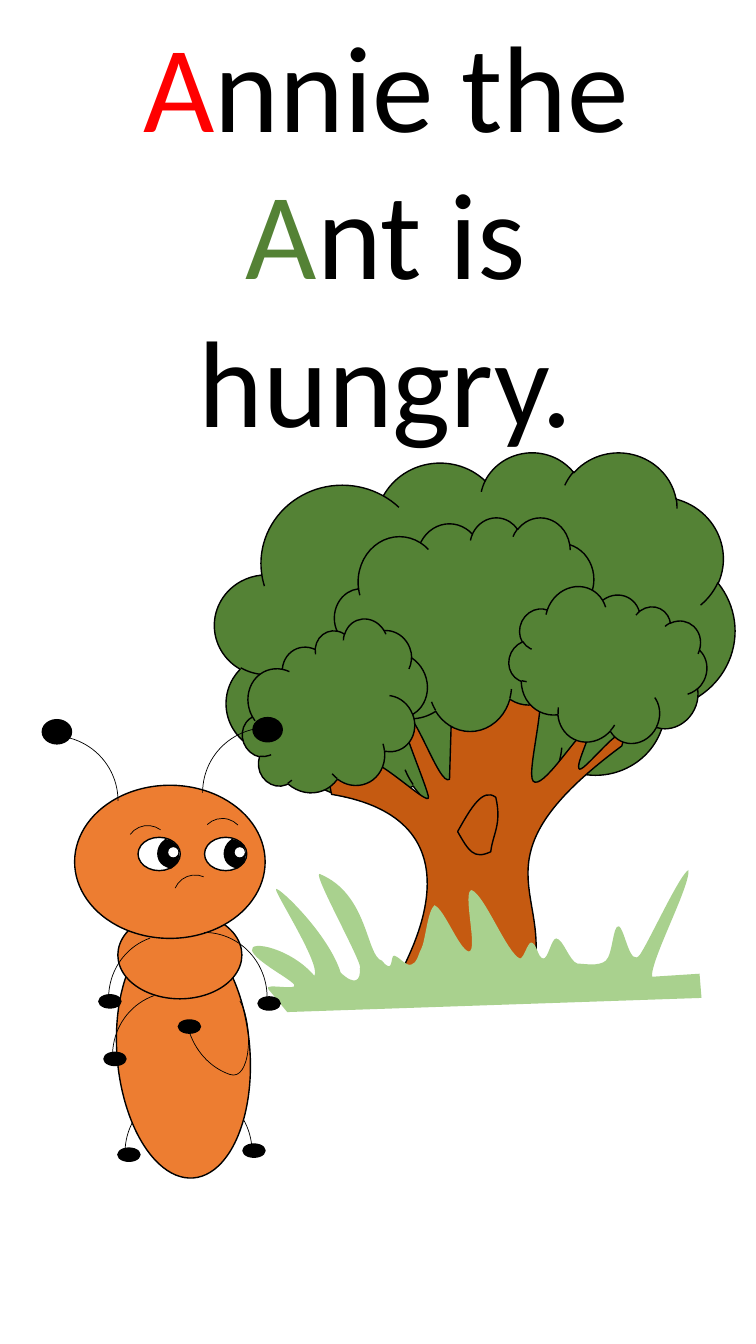
from pptx import Presentation
from pptx import util as u
from pptx.dml.color import RGBColor
from pptx.enum import shapes, text
from pptx.oxml.ns import qn

COLORS = {
    "black": "000000", "white": "FFFFFF", "red": "FF0000", "leaf": "548235",
    "bark": "C55A11", "grass": "A9D18E", "ant": "ED7D31",
}
KIND = shapes.MSO_SHAPE

# Outlines: a start point, then pairs for lines and sextuples for curves
TRUNK = [
    (323.3, 484.6), (381.6, 484.6),
    (394.6, 488.2, 375.1, 551.5, 380.9, 558), (387.4, 564.5, 410.4, 527, 418.3, 522),
    (427, 517, 409.7, 547.2, 414, 549.4), (418.3, 550.8, 452.2, 505.4, 444.2, 532.8),
    (339.1, 610.6, 391.7, 635, 381.6, 691.2), (288.7, 691.2),
    (283.7, 694.1, 354.2, 586.8, 236.9, 567.4), (231.1, 542.9, 244.8, 545.8, 253.4, 545.8),
    (256.3, 525.6, 308.9, 580.3, 306, 568.8), (303.1, 556.6, 282.2, 509, 288, 509.8),
    (295.9, 504.7, 313.9, 562.3, 321.1, 556.6),
]
GRASS = [
    (191.5, 706.3),
    (188.6, 702, 213.1, 707.8, 210.2, 703.4), (207.4, 699.1, 182.9, 686.9, 180, 679),
    (177.8, 671, 208.1, 677.5, 224.6, 697), (229.7, 689, 194.4, 635, 197.3, 635),
    (200.2, 634.3, 234.7, 667.4, 243.4, 694.8), (253.4, 704.2, 257.8, 700.6, 257, 691.9),
    (261.4, 691.9, 223.2, 624.2, 228.2, 624.2), (263.5, 638.6, 261.4, 683.3, 272.9, 686.2),
    (281.5, 697, 278.6, 682.6, 281.5, 682.6), (285.1, 683.3, 290.2, 690.5, 293.8, 689),
    (298.1, 687.6, 298.1, 683.3, 301, 677.5), (303.8, 672.5, 305.3, 650.9, 310.3, 646.6),
    (317.5, 649.4, 327.6, 677.5, 334.8, 679.7), (342, 679.7, 329.8, 635.8, 337, 635.8),
    (346.3, 639.4, 362.2, 681.1, 371.5, 684.7), (374.4, 684, 376.6, 673.9, 379.4, 673.2),
    (383.8, 673.9, 383.8, 684, 388.1, 684.7), (391.7, 684.7, 393.8, 670.3, 397.4, 670.3),
    (402.5, 671, 406.8, 686.9, 412.6, 688.3), (417.6, 688.3, 427.7, 690.5, 432.7, 686.2),
    (437.8, 681.8, 437.8, 660.2, 442.1, 661.7), (446.4, 663.8, 450, 691.9, 457.2, 681.8),
    (464.4, 671, 485.3, 625, 491.8, 621.4), (493.2, 632.9, 464.4, 686.2, 465.8, 697.7),
    (499.7, 695.5), (501.1, 712.8), (205.2, 722.9),
]
KNOT = [
    (326.9, 594), (336.2, 577.4, 344.9, 562.3, 354.2, 569.5),
    (358.6, 589, 352.1, 595.4, 350.6, 608.4), (338.4, 614.2, 334.8, 607.7, 326.9, 594),
]
PUPIL = [
    (118.1, 599.8), (121, 600.5),
    (123.8, 601.9, 126.7, 604.1, 127.4, 607.7), (128.2, 610.6, 127.4, 614.2, 125.3, 617),
    (122.4, 619.9), (119.5, 619.2),
    (115.9, 617.8, 113.8, 615.6, 113, 612), (112.3, 609.1, 113, 605.5, 115.2, 602.6),
]
BENT_ARM = [
    (171.4, 715), (181.4, 732.2, 179.3, 772.6, 164.2, 767.5),
    (149.8, 762.5, 139, 750.2, 134.6, 735.1),
]


def color(name):
    return RGBColor.from_string(COLORS[name])


def add_run(paragraph, words, size=88, tint="black", face="Calibri"):
    run = paragraph.add_run()
    run.text = words
    run.font.size = u.Pt(size)
    run.font.name = face
    run.font.color.rgb = color(tint)


class Page:
    """Holds the slide, the group being drawn and the outline style."""

    def __init__(self, deck):
        self.slide = deck.slides.add_slide(deck.slide_layouts[6])
        self.shapes = self.slide.shapes
        self.outline = 1

    def start_group(self):
        self.shapes = self.slide.shapes.add_group_shape().shapes

    def style(self, shape, fill, line):
        shape.shadow.inherit = False
        if fill:
            shape.fill.solid()
            shape.fill.fore_color.rgb = color(fill)
        else:
            shape.fill.background()
        if line:
            shape.line.color.rgb = color("black")
            shape.line.width = u.Pt(line)
        else:
            shape.line.fill.background()

    def preset(self, kind, box, fill=None, line=None, rotation=0, flip=None):
        shape = self.shapes.add_shape(kind, *map(u.Pt, box))
        self.style(shape, fill, self.outline if line is None else line)
        shape.rotation = rotation
        if flip:
            shape._element.spPr.xfrm.set(flip, "1")
        return shape

    def arc(self, box, rotation=0, flip=None, end=None):
        arc = self.preset(KIND.ARC, box, line=0.5, rotation=rotation, flip=flip)
        if end:
            arc.adjustments[0], arc.adjustments[1] = 162, end

    def outline_shape(self, segments, fill=None, line=1, dx=0, close=True):
        points = [
            (u.Pt(seg[i] + dx), u.Pt(seg[i + 1]))
            for seg in segments for i in range(0, len(seg), 2)
        ]
        builder = self.shapes.build_freeform(*points[0], scale=1.0)
        builder.add_line_segments(points[1:], close=close)
        shape = builder.convert_to_shape()
        # Join each three steps of a curve into one Bézier step
        steps = iter(list(shape._element.iter(qn("a:lnTo"))))
        for seg in segments[1:]:
            step = next(steps)
            if len(seg) == 6:
                step.tag = qn("a:cubicBezTo")
                for extra in (next(steps), next(steps)):
                    step.append(extra[0])
                    extra.getparent().remove(extra)
        self.style(shape, fill, line)

    def headline(self, box, pieces):
        frame = self.shapes.add_textbox(*map(u.Pt, box)).text_frame
        frame.word_wrap = True
        frame.auto_size = text.MSO_AUTO_SIZE.SHAPE_TO_FIT_TEXT
        sentence = frame.paragraphs[0]
        sentence.alignment = text.PP_ALIGN.CENTER
        for words, tint in pieces:
            add_run(sentence, words, tint=tint)


def draw_tree(page):
    page.start_group()
    page.preset(KIND.CLOUD, (153.4, 322.6, 371.5, 262.8), "leaf")
    page.outline_shape(TRUNK, "bark")
    page.preset(KIND.CLOUD, (239, 369.4, 189.4, 152.6), "leaf")
    for left, top, turn in ((364.3, 421.9, 26.5), (170.6, 452.9, 338.5)):
        page.preset(KIND.CLOUD, (left, top, 138.2, 110.9), "leaf", rotation=turn)
    page.outline_shape(GRASS, "grass", line=0)
    page.outline_shape(KNOT)


def draw_ant(page):
    page.start_group()
    # Back legs, then body
    page.arc((89.3, 776.9, 92.9, 92.9), flip="flipH")
    page.arc((87.1, 776.2, 92.9, 92.9))
    page.preset(KIND.OVAL, (41, 704.2, 180, 95), "ant", rotation=85.5)
    page.preset(KIND.OVAL, (84.2, 650.9, 88.6, 62.6), "ant")
    page.preset(KIND.OVAL, (53.3, 560.9, 136.1, 109.4), "ant")
    # Antennae
    page.arc((144.7, 519.8, 92.9, 92.9), flip="flipH")
    page.arc((-8.6, 525.6, 92.9, 92.9))
    for left, top in ((180.7, 512.6), (30.2, 514.1)):
        page.preset(KIND.OVAL, (left, top, 20.9, 17.3), "black")
    # Face
    for left, top, turn, flip in (
        (143.3, 584.6, 45.9, "flipH"), (90, 589.7, 36.4, "flipH"), (123.8, 625, 203.3, "flipV"),
    ):
        page.arc((left, top, 31, 31), turn, flip)
    for dx in (47.5, 0):
        page.preset(KIND.OVAL, (98.6 + dx, 598.1, 30.2, 23.8), "white")
        page.outline_shape(PUPIL, "black", dx=dx)
        page.preset(KIND.OVAL, (120.2 + dx, 605.2, 7.2, 7.2), "white", line=0)
    # Arms
    page.arc((100.8, 666, 90, 92.9))
    for left, top in ((77.8, 667.4), (80.6, 708.5)):
        page.arc((left, top, 90, 92.9), 340.4, "flipH", end=204.02)
    page.outline_shape(BENT_ARM, line=0.5, close=False)
    # Hands and feet
    for left, top in (
        (184.3, 712.1), (173.5, 817.2), (84.2, 820.1),
        (70.6, 710.6), (127.4, 728.6), (74.2, 751.7),
    ):
        page.preset(KIND.OVAL, (left, top, 15.8, 9.4), "black")


def main():
    deck = Presentation()
    deck.slide_width, deck.slide_height = u.Pt(540), u.Pt(960)
    page = Page(deck)
    draw_tree(page)
    page.shapes = page.slide.shapes
    page.headline((28.1, 2.9, 495.4, 326.9), [
        ("A", "red"), ("nnie the ", "black"), ("A", "leaf"), ("nt is hungry.", "black"),
    ])
    draw_ant(page)
    deck.save("out.pptx")


if __name__ == "__main__":
    main()
